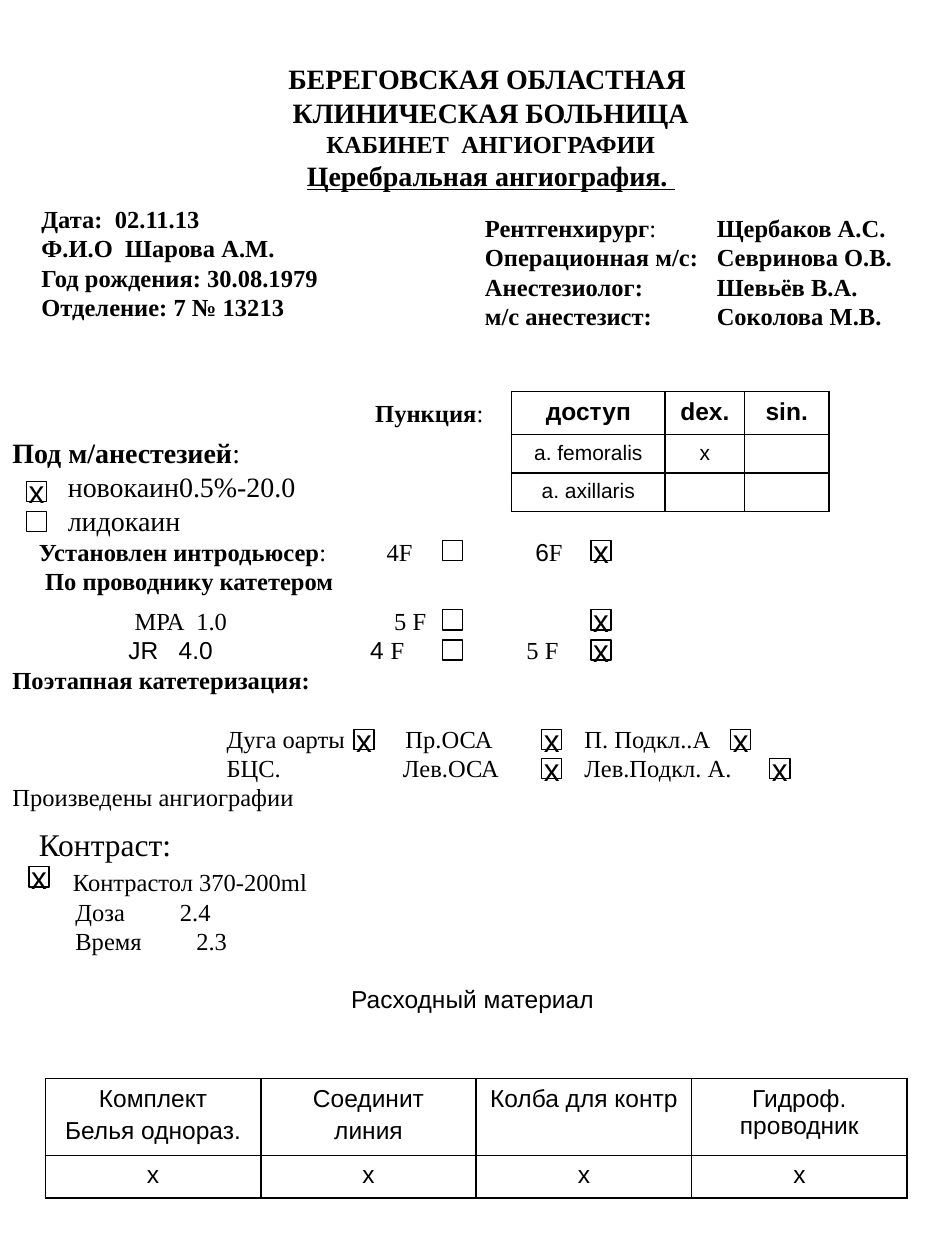
from lxml import etree
from pptx import Presentation
from pptx.dml.color import RGBColor
from pptx.enum.shapes import MSO_SHAPE
from pptx.enum.text import MSO_ANCHOR, MSO_AUTO_SIZE, PP_ALIGN
from pptx.oxml.ns import qn
from pptx.util import Inches, Pt

BLACK = RGBColor(0, 0, 0)
SERIF, SANS = "Times New Roman", "Arial"
LEFT, CENTER = PP_ALIGN.LEFT, PP_ALIGN.CENTER
TOP, MIDDLE = MSO_ANCHOR.TOP, MSO_ANCHOR.MIDDLE
NO_FIT = MSO_AUTO_SIZE.NONE
RECTANGLE = MSO_SHAPE.RECTANGLE
BOX_SIZE = 0.16


def add_run(paragraph, text, size=14, font=SERIF, bold=False, underline=False):
    run = paragraph.add_run()
    run.text = text
    run.font.size = Pt(size)
    run.font.name = font
    run.font.bold = bold
    run.font.underline = underline
    run.font.color.rgb = BLACK


def line(*runs, tabs=(), indent=0, before=0, align=LEFT):
    """Describe one paragraph; each run is a (text, format) pair."""
    return runs, tabs, indent, before, align


def plain(text, **layout):
    return line((text, {}), **layout)


def strong(text, size=14, **layout):
    return line((text, {"bold": True, "size": size}), **layout)


def fill_text(frame, lines):
    for index, (runs, tabs, indent, before, align) in enumerate(lines):
        paragraph = frame.add_paragraph() if index else frame.paragraphs[0]
        paragraph.alignment = align
        paragraph.space_before = Pt(before)
        properties = paragraph._p.get_or_add_pPr()
        if indent:
            properties.set("marL", str(Inches(indent)))
            properties.set("indent", "0")
        if tabs:
            tab_list = etree.SubElement(properties, qn("a:tabLst"))
            for position in tabs:
                etree.SubElement(tab_list, qn("a:tab"),
                                 pos=str(Inches(position)), algn="l")
        for text, style in runs:
            add_run(paragraph, text, **style)


def add_text(slide, left, top, width, height, lines, anchor=TOP, inset=0.05, wrap=True):
    shape = slide.shapes.add_textbox(Inches(left), Inches(top), Inches(width), Inches(height))
    frame = shape.text_frame
    frame.word_wrap = wrap
    frame.auto_size = NO_FIT
    frame.vertical_anchor = anchor
    frame.margin_top = Inches(inset)
    fill_text(frame, lines)


def add_title(slide):
    title = slide.shapes.title
    title.left, title.top = Inches(0.52), Inches(0.4)
    title.width, title.height = Inches(6.75), Inches(1.48)
    frame = title.text_frame
    frame.auto_size = NO_FIT
    frame.vertical_anchor = TOP
    frame.margin_top = Inches(0.09)
    fill_text(frame, [
        strong("БЕРЕГОВСКАЯ ОБЛАСТНАЯ ", 16, align=CENTER),
        strong("КЛИНИЧЕСКАЯ БОЛЬНИЦА", 16, align=CENTER),
        strong("КАБИНЕТ  АНГИОГРАФИИ", align=CENTER),
        line(("Церебральная ангиография. ", {"size": 16, "bold": True, "underline": True}),
             align=CENTER),
    ])


def add_checkbox(slide, left, top, mark):
    shape = slide.shapes.add_shape(RECTANGLE, Inches(left), Inches(top),
                                   Inches(BOX_SIZE), Inches(BOX_SIZE))
    shape.shadow.inherit = False
    shape.fill.background()
    shape.line.color.rgb = BLACK
    shape.line.width = Pt(0.75)
    if mark:
        shape.text_frame.word_wrap = False
        shape.text_frame.vertical_anchor = MIDDLE
        fill_text(shape.text_frame, [line((mark, {"size": 18, "font": SANS}), align=CENTER)])


def set_borders(cell, widths):
    properties = cell._tc.get_or_add_tcPr()
    for index, (side, width) in enumerate(zip(("lnL", "lnR", "lnT", "lnB"), widths)):
        border = etree.Element(qn("a:" + side), w=str(Pt(width)))
        fill = etree.SubElement(border, qn("a:solidFill"))
        etree.SubElement(fill, qn("a:srgbClr"), val=str(BLACK))
        properties.insert(index, border)


def add_table(slide, left, top, columns, heights, rows, header, body, outer):
    """Cell text is split into paragraphs at line breaks."""
    row_count, column_count = len(heights), len(columns)
    frame = slide.shapes.add_table(row_count, column_count, Inches(left), Inches(top),
                                   Inches(sum(columns)), Inches(sum(heights)))
    table = frame.table
    table.first_row = table.horz_banding = False
    for column, width in zip(table.columns, columns):
        column.width = Inches(width)
    for r, (texts, height) in enumerate(zip(rows, heights)):
        table.rows[r].height = Inches(height)
        style = body if r else header
        for c, text in enumerate(texts):
            cell = table.cell(r, c)
            cell.fill.background()
            edges = (c == 0, c == column_count - 1, r == 0, r == row_count - 1)
            set_borders(cell, [outer if edge else 1 for edge in edges])
            if text:
                fill_text(cell.text_frame, [
                    line((part, style), align=CENTER, before=2.8 if index else 0)
                    for index, part in enumerate(text.split("\n"))])
            else:
                etree.SubElement(cell.text_frame.paragraphs[0]._p, qn("a:endParaRPr"),
                                 sz=str(style["size"] * 100))


def main():
    presentation = Presentation()
    presentation.slide_width, presentation.slide_height = Inches(7.5), Inches(10)
    slide = presentation.slides.add_slide(presentation.slide_layouts[5])
    sans, bold = {"font": SANS}, {"bold": True}
    add_title(slide)

    # Anaesthesia and puncture
    add_text(slide, 0, 2.95, 3.42, 2.05, [
        line(("Под м/анестезией", {"size": 16, "bold": True}), (":", {"size": 16})),
        line(("новокаин0.5%-20.0", {"size": 16}), indent=0.44),
        line(("лидокаин", {"size": 16}), indent=0.44),
    ], inset=0.51)
    add_text(slide, 2.88, 3.11, 1.06, 0.33, [line(("Пункция", bold), (":", {}))], wrap=False)
    add_table(slide, 4.06, 3.11, [1.22, 0.63, 0.67], [0.34, 0.3, 0.3],
              [["доступ", "dex.", "sin."], ["a. femoralis", "х", ""], ["a. axillaris", "", ""]],
              {"size": 14, "font": SANS, "bold": True}, {"size": 12, "font": SANS}, 0.75)

    # Introducer, contrast and catheters
    add_text(slide, 0.21, 4.21, 6.32, 0.57, [
        line(("Установлен интродьюсер", bold), (":\t4F\t", {}), ("6", sans), ("F", {}),
             tabs=(2.76, 3.94)),
        strong("По проводнику катетером", indent=0.05),
    ])
    add_text(slide, 0.21, 6.5, 3.72, 1.85, [
        line(("Контраст:", {"size": 18})),
        plain("Контрастол 370-200ml", indent=0.27, before=2.4),
        plain("\tДоза\t2.4", tabs=(0.29, 1.12)),
        plain("\tВремя\t2.3", tabs=(0.29, 1.25)),
    ])
    add_text(slide, 0, 7.76, 7.5, 1.03, [line(("Расходный материал", sans), align=CENTER)])
    add_text(slide, 0, 4.76, 7.5, 1.99, [
        plain("\tМРА\t1.0\t5 F", tabs=(0.97, 1.46, 3.03)),
        line(("\tJR\t4.0\t4 ", sans), ("F\t5 F", {}), tabs=(0.92, 1.32, 2.84, 4.08)),
        strong("Поэтапная катетеризация:"),
        plain("\tДуга оарты\tПр.ОСА\tП. Подкл..А", tabs=(1.7, 3.12, 4.54), before=16.8),
        plain("\tБЦС.\tЛев.ОСА\tЛев.Подкл. А.", tabs=(1.7, 3.1, 4.54)),
        plain("Произведены ангиографии"),
    ])

    # Checkboxes
    for left, top, mark in [
        (0.21, 3.82, "х"), (0.21, 4.06, ""),
        (3.51, 4.29, ""), (4.69, 4.29, "х"),
        (3.51, 4.84, ""), (4.69, 4.84, "х"),
        (3.51, 5.08, ""), (4.69, 5.08, "x"),
        (2.81, 5.79, "х"), (4.3, 5.79, "х"), (5.8, 5.79, "х"),
        (4.3, 6.02, "х"), (6.11, 6.02, "х"), (0.23, 6.88, "х"),
    ]:
        add_checkbox(slide, left, top, mark)

    # Consumables
    supply_style = {"size": 14, "font": SANS}
    add_table(slide, 0.36, 8.56, [1.71] * 4, [0.61, 0.34],
              [["Комплект\nБелья однораз.", "Соединит\nлиния", "Колба для контр",
                "Гидроф. проводник"], ["х"] * 4],
              supply_style, supply_style, 1)

    # Staff and patient
    staff_tab = (1.84,)
    add_text(slide, 3.75, 1.64, 3.75, 1.04, [
        line(("Рентгенхирург", bold), (":\t", {}), ("Щербаков А.С.", bold), tabs=staff_tab),
        strong("Операционная м/с:\tСевринова О.В.", tabs=staff_tab),
        strong("Анестезиолог:\tШевьёв В.А.", tabs=staff_tab),
        strong("м/с анестезист:\tСоколова М.В.", tabs=staff_tab),
    ])
    add_text(slide, 0.23, 1.25, 2.58, 1.67, [
        strong("Дата:  02.11.13"),
        strong("Ф.И.О  Шарова А.М."),
        strong("Год рождения: 30.08.1979"),
        strong("Отделение: 7 № 13213"),
    ], anchor=MIDDLE)

    presentation.save("out.pptx")


if __name__ == "__main__":
    main()
